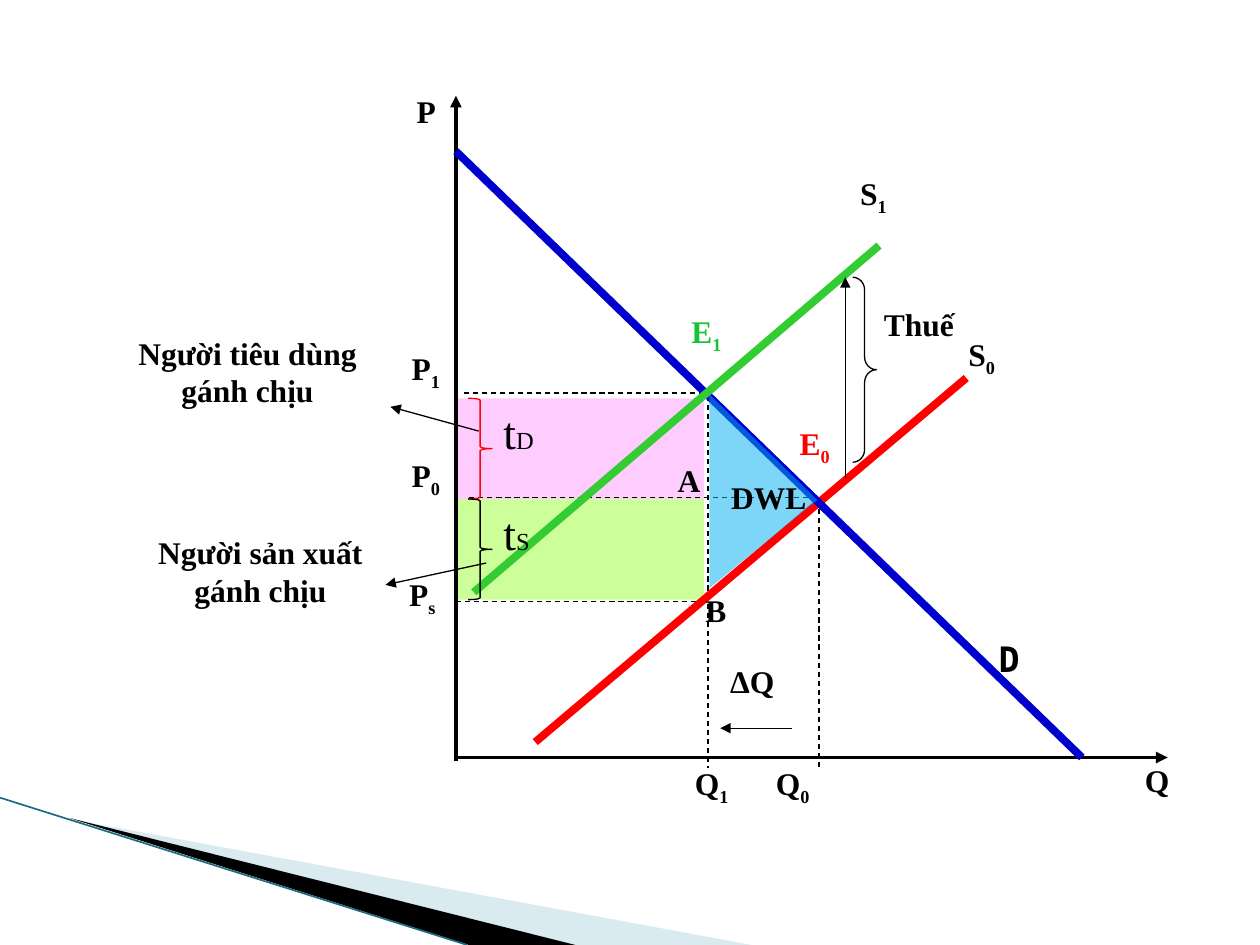
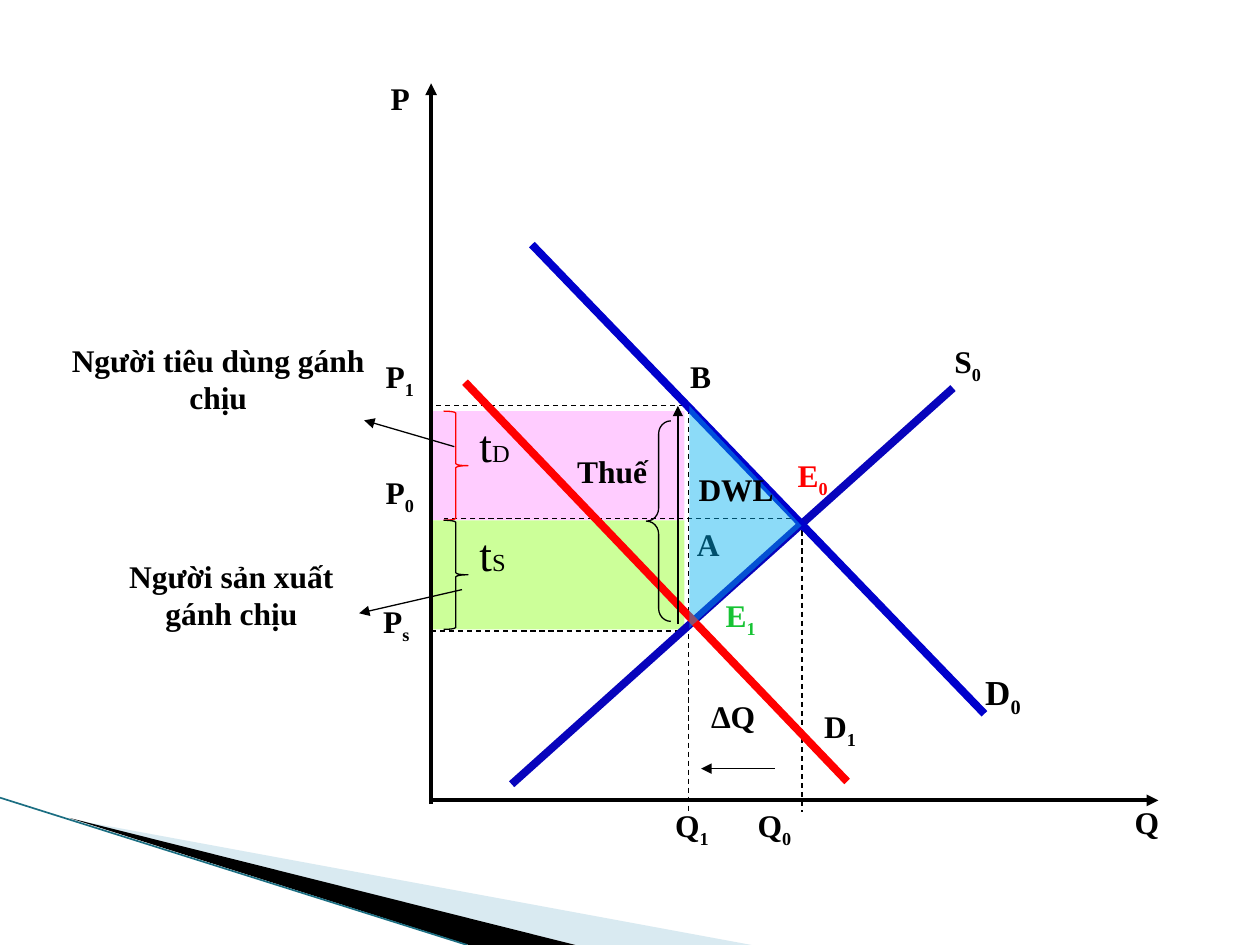
from dataclasses import dataclass

import lxml.etree
import pptx
import pptx.dml.color
import pptx.enum.dml
import pptx.enum.shapes
import pptx.enum.text
import pptx.oxml
import pptx.oxml.ns
import pptx.util

Cm = pptx.util.Cm
SHAPE = pptx.enum.shapes.MSO_SHAPE
CENTER = pptx.enum.text.PP_ALIGN.CENTER


class Theme:
    font, mono = "Times New Roman", "DejaVu Sans Mono"
    black, red, green, blue, navy = "000000", "FF0000", "33CC33", "0000CC", "0804BC"
    e1_text, pink, lime, sky = "17C334", "FFCCFF", "CCFF99", "00B0F0"
    band, band_edge = "A0CBDC", "1B6E82"
    body, large, share, share_sub = 18, 20, 26, 14
    thin, axis, curve = 0.75, 2.25, 4.5


@dataclass
class Box:
    """Area on the slide; inner points use a grid of cols by rows."""
    left: float
    top: float
    width: float
    height: float
    cols: float
    rows: float

    def w(self, value):
        return Cm(value * self.width / self.cols)

    def h(self, value):
        return Cm(value * self.height / self.rows)

    def at(self, x, y):
        return Cm(self.left) + self.w(x), Cm(self.top) + self.h(y)


# Levels that both diagrams share, on a grid of 14.35 by 13.41
GRID = (14.35, 13.41)
Q1, Q0 = 5.08, 7.32
P1, P0, PS = 5.99, 8.1, 10.19
AXIS_Y = 13.34
SHARE_TOPS, SHARE_H = (6.1, 8.13), 2.03


def rgb(color):
    return pptx.dml.color.RGBColor.from_string(color)


def sub_element(parent, tag, **attrs):
    el = lxml.etree.SubElement(parent, pptx.oxml.ns.qn(tag))
    for name, value in attrs.items():
        el.set(name, value)
    return el


def set_fill(sp, color, alpha=None):
    sp.shadow.inherit = False
    sp.fill.solid()
    sp.fill.fore_color.rgb = rgb(color)
    sp.line.fill.background()
    if alpha:
        clr = sp.fill._xPr.find(".//" + pptx.oxml.ns.qn("a:srgbClr"))
        sub_element(clr, "a:alpha", val=str(alpha * 1000))


def add_line(s, box, start, end, color=Theme.black, width=Theme.thin,
             dashed=False, arrow=False):
    cxn = s.shapes.add_connector(pptx.enum.shapes.MSO_CONNECTOR.STRAIGHT,
                                 *box.at(*start), *box.at(*end))
    cxn.line.color.rgb = rgb(color)
    cxn.line.width = pptx.util.Pt(width)
    if dashed:
        cxn.line.dash_style = pptx.enum.dml.MSO_LINE.DASH
    if arrow:
        sub_element(cxn.get_or_add_ln(), "a:tailEnd", type="triangle")
    sub_element(cxn._element.spPr, "a:effectLst")


def add_polygon(s, box, points, color, alpha=None):
    first, *rest = [box.at(*pt) for pt in points]
    fb = s.shapes.build_freeform(*first)
    fb.add_line_segments(rest, close=True)
    set_fill(fb.convert_to_shape(), color, alpha)


def add_brace(s, box, x, y, height, color=Theme.black, curl=0.08, turned=False):
    sp = s.shapes.add_shape(SHAPE.RIGHT_BRACE, *box.at(x, y), box.w(0.48), box.h(height))
    sp.shadow.inherit = False
    sp.fill.background()
    sp.line.color.rgb = rgb(color)
    sp.line.width = pptx.util.Pt(Theme.thin)
    sp.adjustments[0] = curl
    sp.rotation = 180 if turned else 0


def add_label(s, box, text, x, y, width=1.65, height=1.7, color=Theme.black,
              size=Theme.body, font=Theme.font, bold=True, align=None, small=None):
    """Text after "_" is a subscript, or a smaller run when small is given."""
    tf = s.shapes.add_textbox(*box.at(x, y), box.w(width), box.h(height)).text_frame
    tf.word_wrap = True
    p = tf.paragraphs[0]
    p.alignment = align
    p.font.name, p.font.bold = font, bold
    p.font.size = pptx.util.Pt(size)
    p.font.color.rgb = rgb(color)
    main, _, tail = text.partition("_")
    for part in filter(None, (main, tail)):
        r = p.add_run()
        r.text = part
        r.font.name, r.font.bold = font, bold
        r.font.size = pptx.util.Pt(size)
        r.font.color.rgb = rgb(color)
    if tail and small:
        r.font.size = pptx.util.Pt(small)
    elif tail:
        r._r.get_or_add_rPr().set("baseline", "-25000")


def add_corner_bands(s, box):
    add_polygon(s, box, [(0, 0.46), (13.75, 3), (10.2, 3)], Theme.band, 40)
    add_polygon(s, box, [(0, 0.44), (10.2, 3), (8.05, 3)], Theme.black)
    add_line(s, box, (-1.4, 0.03), (8.02, 3), Theme.band_edge, 0.95)


def add_axes(s, box):
    # Tax shares of consumers and producers
    for top, color in zip(SHARE_TOPS, (Theme.pink, Theme.lime)):
        sp = s.shapes.add_shape(SHAPE.RECTANGLE, *box.at(0, top), box.w(5), box.h(SHARE_H))
        set_fill(sp, color)

    # Axes
    add_line(s, box, (0, AXIS_Y), (14.35, AXIS_Y), width=Theme.axis, arrow=True)
    add_line(s, box, (0, 13.41), (0, 0), width=Theme.axis, arrow=True)

    # Dashed guides
    for start, end in [((Q0 - 0.03, P0), (0.25, P0)), ((Q0, 8.15), (Q0, 13.56)),
                       ((0, PS), (5, PS)), ((5, P1), (0.1, P1)),
                       ((Q1, 6.05), (Q1, 13.56))]:
        add_line(s, box, start, end, dashed=True)


def add_notes_on_shares(s, box):
    # Axis labels
    for text, x, y in [("P", -1.04, -0.2), ("P_1", -1.14, 4.98), ("P_0", -1.14, 7.14),
                       ("P_s", -1.19, 9.53), ("Q", 13.64, 13.28), ("Q_1", 4.57, AXIS_Y),
                       ("Q_0", 6.2, AXIS_Y), ("S_0", 10.08, 4.7), ("ΔQ", 5.28, 11.3)]:
        add_label(s, box, text, x, y)
    add_line(s, box, (6.78, 12.75), (5.33, 12.75), arrow=True)

    # Braces and names of the shares
    for top, color, text in zip(SHARE_TOPS, (Theme.red, Theme.black), ("t_D", "t_S")):
        add_brace(s, box, 0.25, top, SHARE_H, color)
        add_label(s, box, text, 0.71, top, 1.9, SHARE_H, size=Theme.share,
                  bold=False, small=Theme.share_sub)

    # Who bears the tax
    add_label(s, box, "Người tiêu dùng gánh chịu", -7.39, 4.67, 6.38, 2.84, align=CENTER)
    add_label(s, box, "Người sản xuất gánh chịu", -6.91, 8.69, 5.94, 2.64, align=CENTER)
    add_line(s, box, (0.46, 6.76), (-1.32, 6.27), arrow=True)
    add_line(s, box, (0.61, 9.42), (-1.42, 9.86), arrow=True)


def add_tax_diagram(s, box, curves, labels, tax, loss):
    add_axes(s, box)
    for start, end, color in curves:
        add_line(s, box, start, end, color, Theme.curve)
    add_notes_on_shares(s, box)
    for text, x, y, style in labels:
        add_label(s, box, text, x, y, **style)

    # Size of the tax
    add_label(s, box, "Thuế", *tax["label"], 2.87, align=CENTER)
    add_brace(s, box, *tax["brace"], 3.73, curl=0.53, turned=tax["turned"])
    x, low, high = tax["arrow"]
    add_line(s, box, (x, low), (x, high), arrow=True)

    # Deadweight loss
    add_polygon(s, box, loss["corners"], Theme.sky, loss["alpha"])
    add_label(s, box, "DWL", *loss["label"], 2.2, 1.14, align=CENTER)


def add_supply_slide(s, box):
    add_tax_diagram(
        s, box,
        curves=[((10.29, 5.69), (1.6, 13.03), Theme.red),
                ((0, 1.12), (12.62, AXIS_Y), Theme.blue),
                ((8.53, 3.02), (0.36, 10.01), Theme.green)],
        labels=[("D", 10.69, 10.8, dict(size=Theme.large, font=Theme.mono)),
                ("S_1", 7.9, 1.45, {}),
                ("E_1", 4.5, 4.24, dict(color=Theme.e1_text)),
                ("E_0", 6.68, 6.5, dict(color=Theme.red)),
                ("A", 4.22, 7.24, {}), ("B", 4.78, 9.86, {})],
        tax=dict(label=(7.9, 4.09), brace=(8, 3.66), turned=False,
                 arrow=(7.85, 7.7, 3.66)),
        loss=dict(corners=[(5.11, 6.02), (5.11, 9.93), (7.29, 8.15)], alpha=51,
                  label=(5.21, 7.59)))


def add_demand_slide(s, box):
    add_tax_diagram(
        s, box,
        curves=[((10.3, 5.67), (1.59, 13.04), Theme.navy),
                ((1.99, 3), (10.92, 11.73), Theme.blue),
                ((0.67, 5.56), (8.21, 12.99), Theme.red)],
        labels=[("D_0", 10.69, 10.81, dict(size=Theme.large)),
                ("D_1", 7.51, 11.49, {}),
                ("E_1", 5.57, 9.43, dict(color=Theme.e1_text)),
                ("E_0", 6.99, 6.82, dict(color=Theme.red)),
                ("A", 5, 8.11, {}), ("B", 4.87, 4.97, {})],
        tax=dict(label=(2.14, 6.75), brace=(4.25, 6.28), turned=True,
                 arrow=(4.87, 10.06, 6)),
        loss=dict(corners=[(5.1, 6), (5.1, 10.13), (7.31, 8.23)], alpha=45,
                  label=(4.92, 7.08)))


def main():
    prs = pptx.Presentation()
    prs.slide_width, prs.slide_height = Cm(25.4), Cm(19.05)
    bands = Box(1.4, 16.05, 13.75, 3, 13.75, 3)
    for build, box in [(add_supply_slide, Box(9.19, 1.93, 14.35, 13.41, *GRID)),
                       (add_demand_slide, Box(8.69, 1.68, 14.66, 14.53, *GRID))]:
        s = prs.slides.add_slide(prs.slide_layouts[6])
        add_corner_bands(s, bands)
        build(s, box)
    prs.save("out.pptx")


if __name__ == "__main__":
    main()
